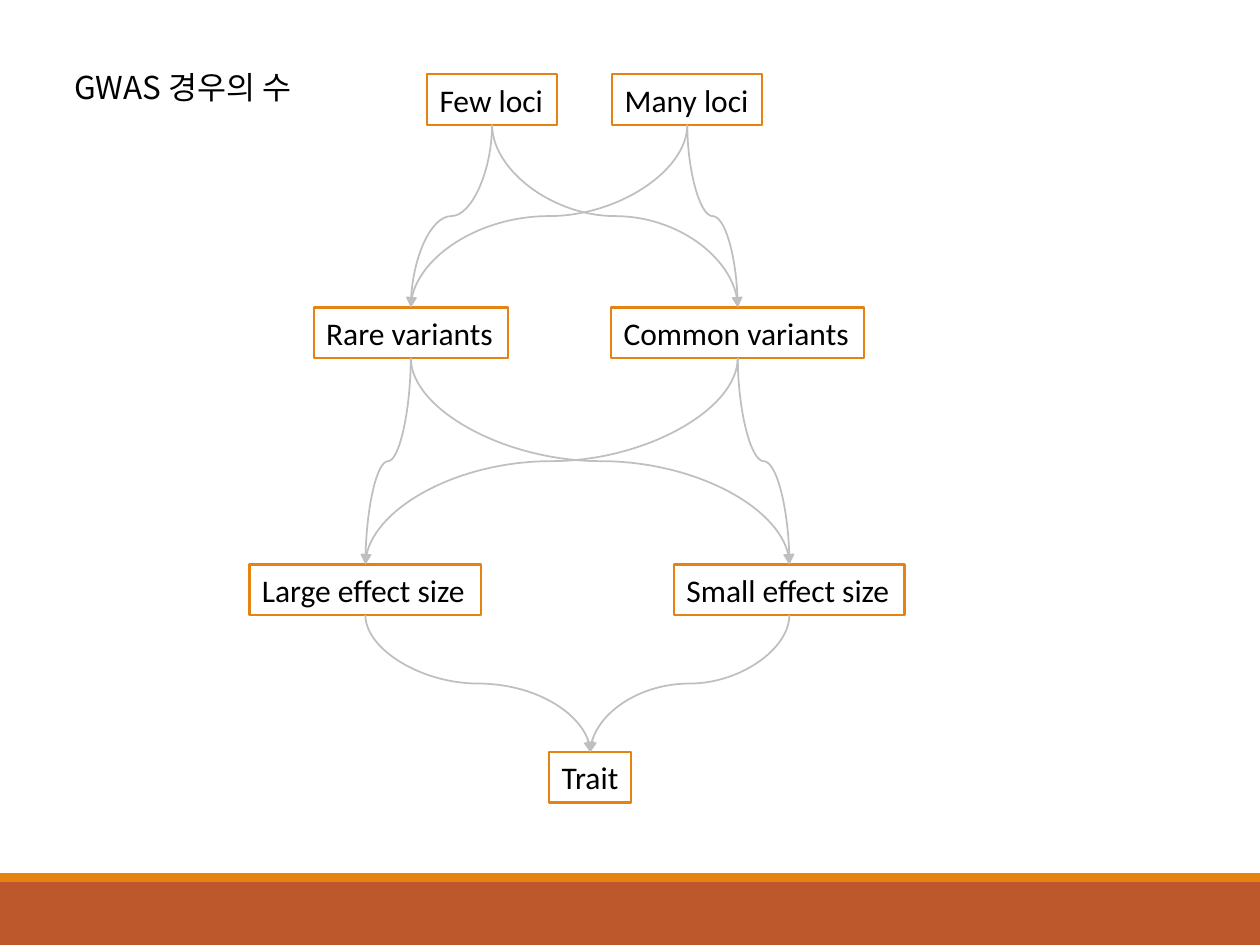
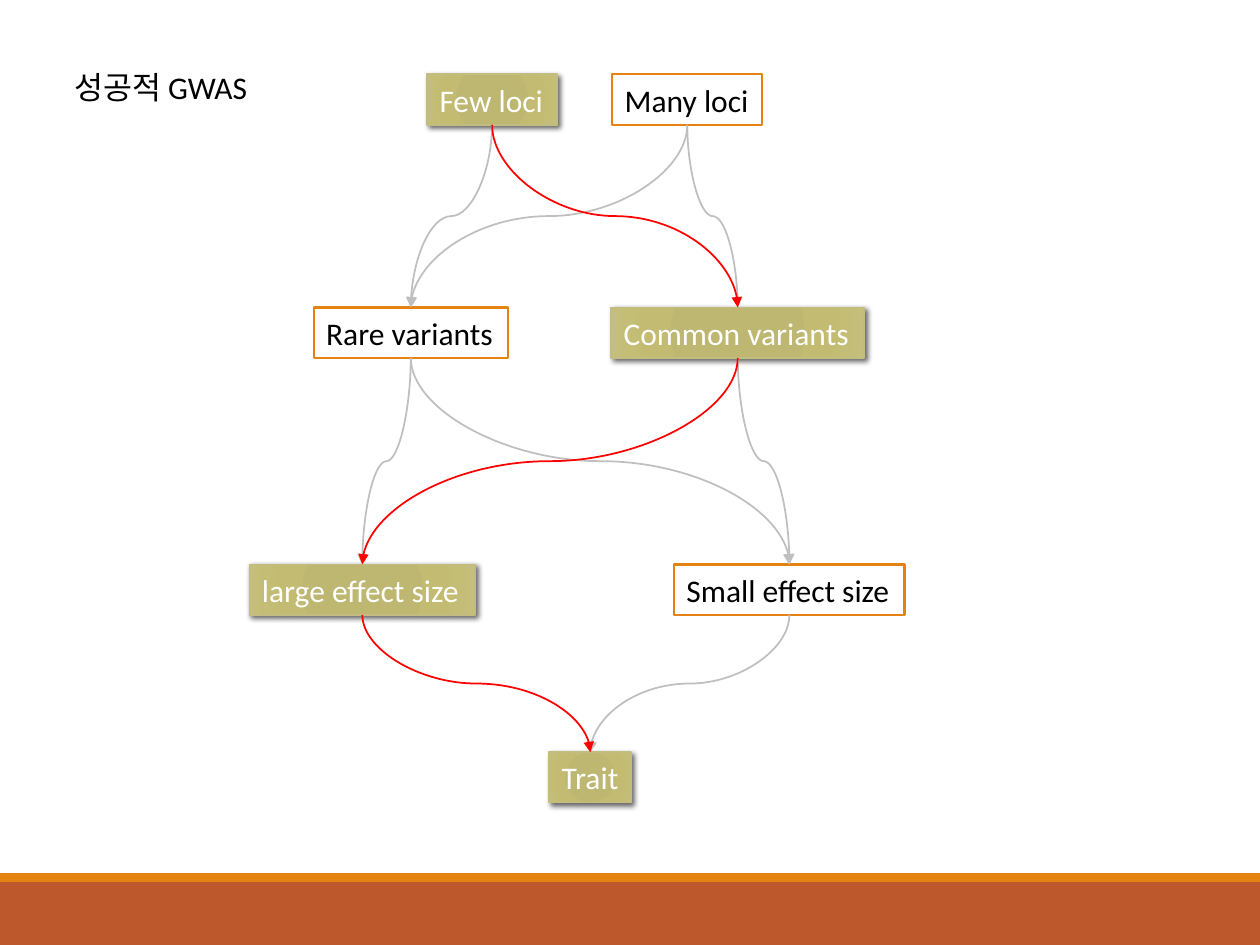
from dataclasses import dataclass

from lxml.etree import SubElement
from pptx import Presentation
from pptx.dml.color import RGBColor
from pptx.enum.shapes import MSO_CONNECTOR, MSO_SHAPE
from pptx.enum.text import MSO_ANCHOR, MSO_AUTO_SIZE, PP_ALIGN
from pptx.oxml import parse_xml
from pptx.oxml.ns import nsdecls, qn
from pptx.util import Emu, Pt


@dataclass(frozen=True)
class Theme:
    band: str = "BD582C"
    accent: str = "E48312"
    paper: str = "FFFFFF"
    ink: str = "000000"
    link: str = "BFBFBF"
    path_link: str = "FF0000"
    path_line: str = "C2BC80"
    path_stops: tuple = ((0, "BEB76E"), (34, "BEB771"), (70, "C3BB71"), (100, "C5BF7D"))
    latin: str = "Calibri"
    korean: str = "Noto Sans CJK KR"
    size: int = 18
    box_line: float = 1.25
    thin_line: float = 1


THEME = Theme()
EMU_PER_PX = 9144  # 100 px to the inch
SLIDE_W, SLIDE_H = 1000, 750
BOX_H = 40
BOTTOM, TOP = 2, 0  # connection sites of a rectangle

# Boxes: key -> (text, left, top, width)
BOXES = {
    "rare": ("Rare variants", 249, 244, 154),
    "common": ("Common variants", 485, 244, 201),
    "few": ("Few loci", 339, 59, 103),
    "trait": ("Trait", 436, 597, 65),
    "many": ("Many loci", 486, 59, 119),
    "large": ("Large effect size", 198, 448, 184),
    "small": ("Small effect size", 535, 448, 183),
}
LINKS = [(a, b) for uppers, lowers in (
    (("few", "many"), ("rare", "common")),
    (("rare", "common"), ("large", "small")),
    (("large", "small"), ("trait",)),
) for a in uppers for b in lowers]
SUCCESS_PATH = ("few", "common", "large", "trait")


def px(n):
    return Emu(round(n * EMU_PER_PX))


def rgb(value):
    return RGBColor.from_string(value)


def style_text(p, color):
    p.alignment = PP_ALIGN.LEFT
    p.font.size = Pt(THEME.size)
    p.font.color.rgb = rgb(color)


def fit_text(tf):
    tf.word_wrap = False
    tf.auto_size = MSO_AUTO_SIZE.SHAPE_TO_FIT_TEXT
    tf.vertical_anchor = MSO_ANCHOR.TOP


def add_rect(slide, left, top, width, height, fill):
    s = slide.shapes.add_shape(MSO_SHAPE.RECTANGLE, px(left), px(top), px(width), px(height))
    s.shadow.inherit = False
    s.fill.solid()
    s.fill.fore_color.rgb = rgb(fill)
    s.line.fill.background()
    return s


def add_bands(slide):
    add_rect(slide, 0, 700, SLIDE_W, 50, THEME.band)
    add_rect(slide, 0, 693, SLIDE_W, 7, THEME.accent)


def add_title(slide, width, runs):
    s = slide.shapes.add_textbox(px(49), px(49), px(width), px(BOX_H))
    fit_text(s.text_frame)
    p = s.text_frame.paragraphs[0]
    style_text(p, THEME.ink)
    for text, font in runs:
        r = p.add_run()
        r.text = text
        r.font.name = font
        SubElement(r.font._element, qn("a:ea"), typeface=font)


def highlight(s):
    """Give a box the radial fill and soft shadow of the success path."""
    stops = "".join(f'<a:gs pos="{pos * 1000}"><a:srgbClr val="{color}"/></a:gs>'
                    for pos, color in THEME.path_stops)
    grad = parse_xml(
        f'<a:gradFill {nsdecls("a")} rotWithShape="1"><a:gsLst>{stops}</a:gsLst>'
        '<a:path path="circle"><a:fillToRect l="100000" t="100000" r="100000" b="100000"/>'
        '</a:path></a:gradFill>')
    shadow = parse_xml(
        f'<a:outerShdw {nsdecls("a")} blurRad="{Pt(3)}" dist="{Pt(2)}" dir="2700000" '
        'rotWithShape="0"><a:srgbClr val="000000"><a:alpha val="60000"/></a:srgbClr>'
        '</a:outerShdw>')
    spPr = s._element.spPr
    spPr.replace(spPr.find(qn("a:solidFill")), grad)
    spPr.find(qn("a:effectLst")).append(shadow)


def add_box(slide, text, left, top, width, on_path):
    s = add_rect(slide, left, top, width, BOX_H, THEME.paper)
    s.line.color.rgb = rgb(THEME.path_line if on_path else THEME.accent)
    s.line.width = Pt(THEME.thin_line if on_path else THEME.box_line)
    if on_path:
        highlight(s)
    fit_text(s.text_frame)
    p = s.text_frame.paragraphs[0]
    p.text = text
    style_text(p, THEME.paper if on_path else THEME.ink)
    p.font.name = THEME.latin
    return s


def add_link(slide, upper, lower, color):
    """Curve from the bottom of one box to the top of another."""
    x1, y1 = upper.left + upper.width // 2, upper.top + upper.height
    x2, y2 = lower.left + lower.width // 2, lower.top
    s = slide.shapes.add_connector(MSO_CONNECTOR.CURVE, x1, y1, x2, y2)
    s.begin_connect(upper, BOTTOM)
    s.end_connect(lower, TOP)
    # A curve that leaves vertically is a sideways one turned by a quarter
    s.width, s.height = y2 - y1, abs(x2 - x1)
    s.left = (x1 + x2 - s.width) // 2
    s.top = (y1 + y2 - s.height) // 2
    rightward = x2 > x1
    xfrm = s._element.spPr.find(qn("a:xfrm"))
    xfrm.set("rot", str((270 if rightward else 90) * 60000))
    xfrm.set("flipH", "1" if rightward else "0")
    xfrm.set("flipV", "0")
    s.line.color.rgb = rgb(color)
    s.line.width = Pt(THEME.thin_line)
    SubElement(s.line._get_or_add_ln(), qn("a:tailEnd"), type="triangle")
    SubElement(s._element.spPr, qn("a:effectLst"))


def add_diagram_slide(prs, title_width, title_runs, boxes, path=()):
    slide = prs.slides.add_slide(prs.slide_layouts[6])
    add_bands(slide)
    shapes = {key: add_box(slide, *box, key in path) for key, box in boxes.items()}
    path_links = list(zip(path, path[1:]))
    # Plain links lie below the highlighted ones
    for a, b in LINKS:
        if (a, b) not in path_links:
            add_link(slide, shapes[a], shapes[b], THEME.link)
    add_title(slide, title_width, title_runs)
    for a, b in path_links:
        add_link(slide, shapes[a], shapes[b], THEME.path_link)


def main():
    prs = Presentation()
    prs.slide_width, prs.slide_height = px(SLIDE_W), px(SLIDE_H)

    # All possible cases
    add_diagram_slide(prs, 209, [("GWAS 경우의 수", THEME.korean)], BOXES)

    # The successful case
    success_boxes = BOXES | {"large": ("large effect size", 198, 448, 179)}
    add_diagram_slide(prs, 165, [("성공적 ", THEME.korean), ("GWAS", THEME.latin)],
                      success_boxes, SUCCESS_PATH)

    prs.save("out.pptx")


if __name__ == "__main__":
    main()
